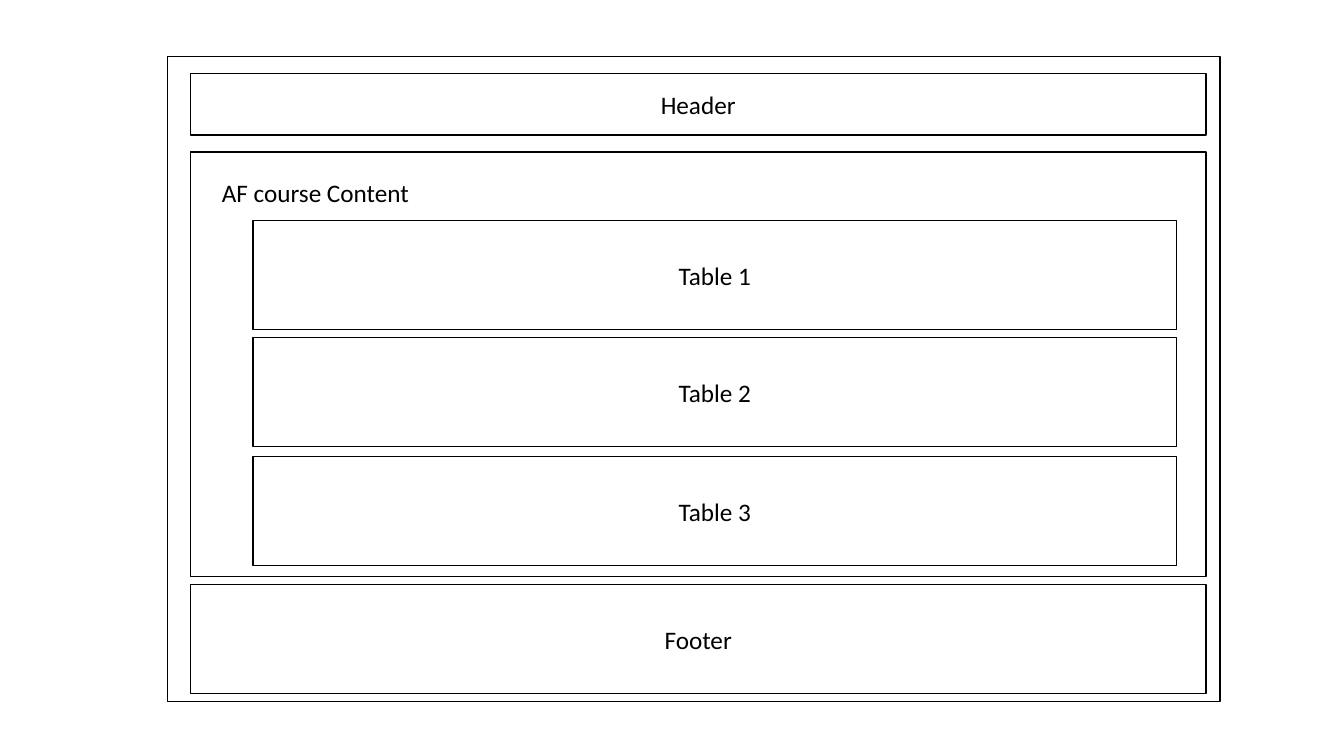
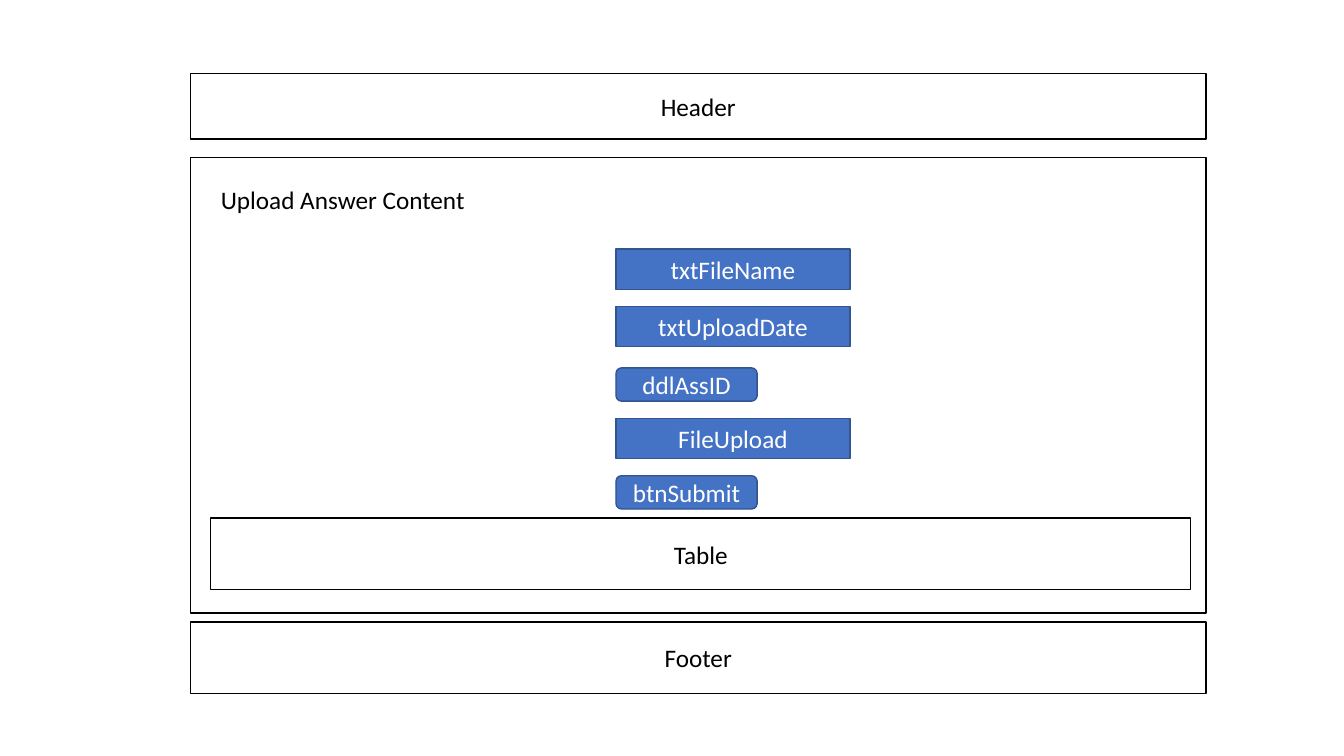
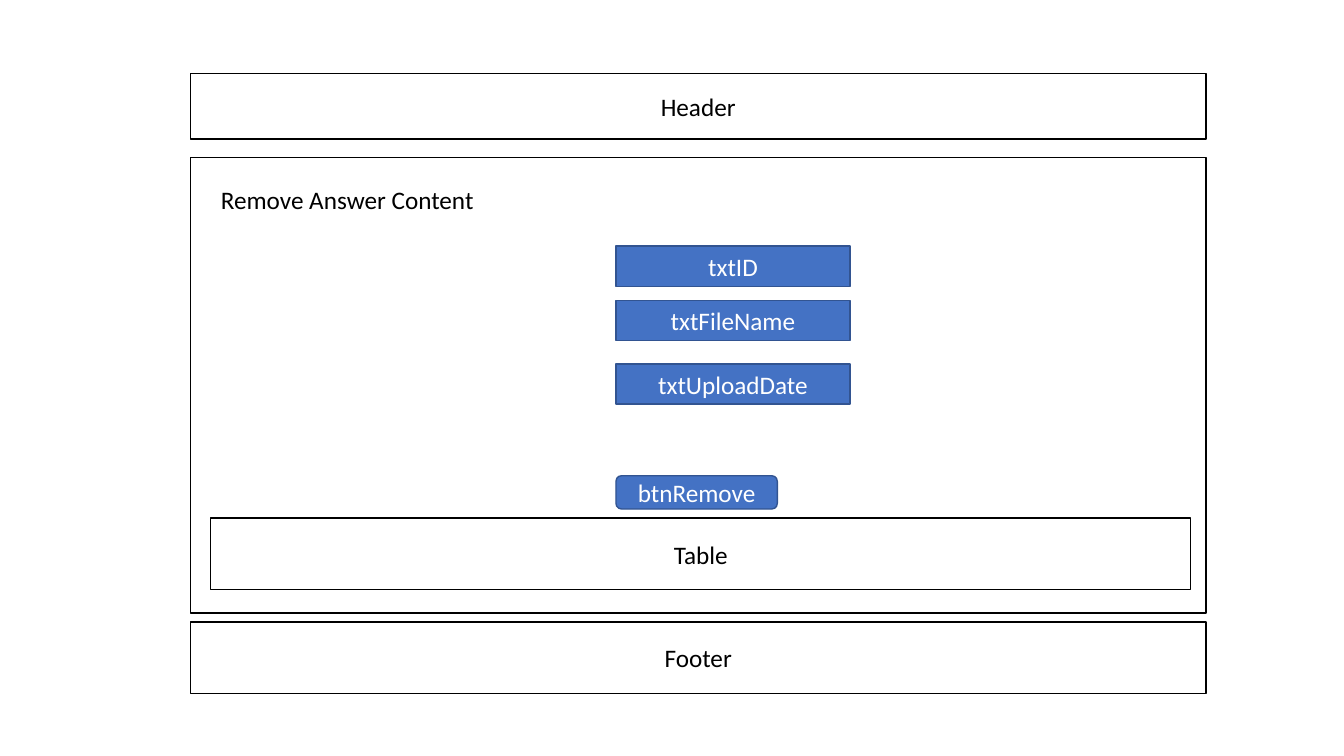
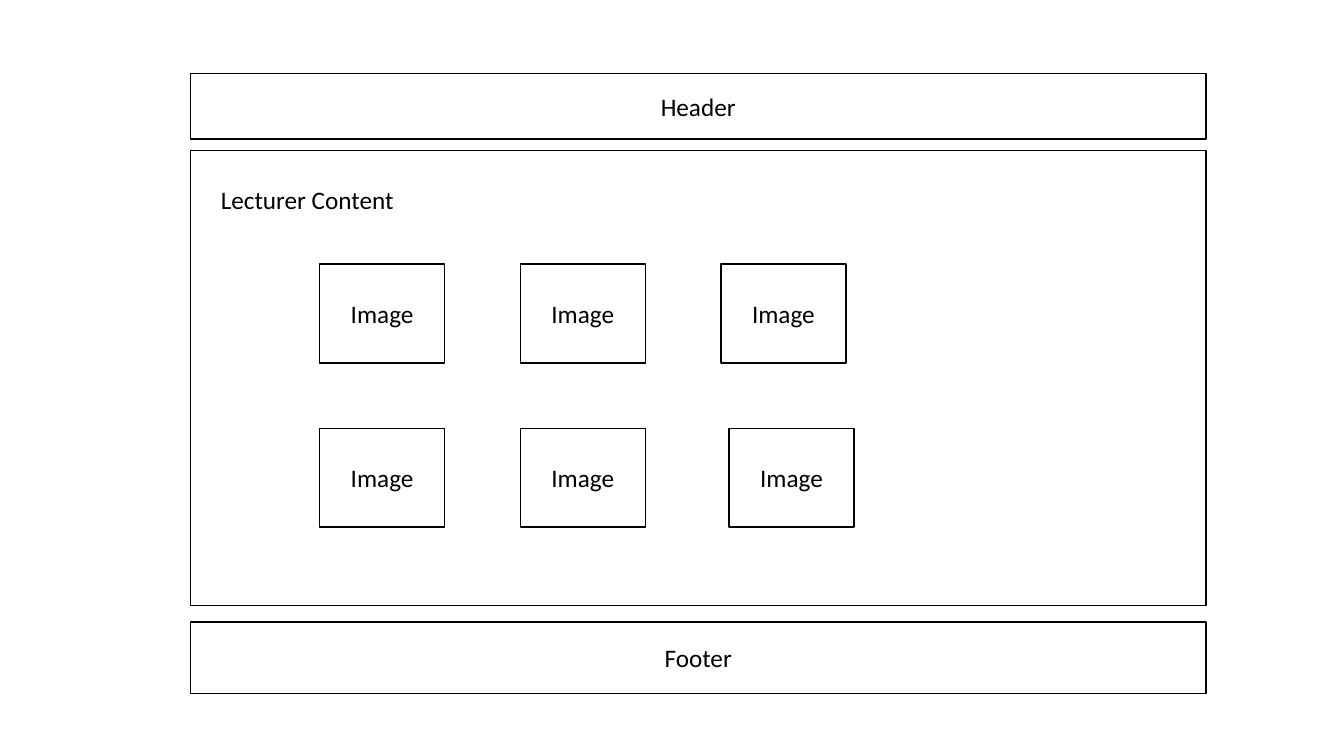
from pptx import Presentation
from pptx import util as u
from pptx.dml.color import RGBColor
from pptx.enum import shapes, text

PX = 9144
BLACK = RGBColor(0x00, 0x00, 0x00)
WHITE = RGBColor(0xFF, 0xFF, 0xFF)
BLUE = RGBColor(0x44, 0x72, 0xC4)
NAVY = RGBColor(0x32, 0x54, 0x91)

RECTANGLE = shapes.MSO_SHAPE.RECTANGLE
ROUNDED = shapes.MSO_SHAPE.ROUNDED_RECTANGLE
TITLE_ONLY = 5
PAGE_LEFT, PAGE_WIDTH = 189, 1007
HEADER_TOP = 73
FIELD_LEFT = 611


class Wireframe:
    """Draw page wireframes in one shared style."""

    font = {"name": "Calibri", "size": u.Pt(18), "bold": False}

    def __init__(self):
        self.presentation = Presentation()
        self.presentation.slide_width = 1333 * PX
        self.presentation.slide_height = 750 * PX
        self.slide = None

    def add_slide(self):
        layout = self.presentation.slide_layouts[TITLE_ONLY]
        self.slide = self.presentation.slides.add_slide(layout)

    def label(self, shape, words, color, alignment, anchor):
        frame = shape.text_frame
        frame.text = words
        frame.word_wrap = True
        frame.auto_size = text.MSO_AUTO_SIZE.NONE
        frame.vertical_anchor = anchor
        paragraph = frame.paragraphs[0]
        paragraph.alignment = alignment
        for name, value in self.font.items():
            setattr(paragraph.font, name, value)
        paragraph.font.color.rgb = color

    def box(self, left, top, width, height, words="",
            kind=RECTANGLE, fill=WHITE, line=BLACK, color=BLACK):
        shape = self.slide.shapes.add_shape(
            kind, left * PX, top * PX, width * PX, height * PX)
        shape.shadow.inherit = False
        shape.fill.solid()
        shape.fill.fore_color.rgb = fill
        shape.line.color.rgb = line
        shape.line.width = u.Pt(1)
        if words:
            self.label(shape, words, color,
                       text.PP_ALIGN.CENTER, text.MSO_ANCHOR.MIDDLE)

    def heading(self, words, left, top):
        title = self.slide.shapes.title
        place = {"left": left, "top": top, "width": 339, "height": 40}
        for name, value in place.items():
            setattr(title, name, value * PX)
        self.label(title, words, BLACK,
                   text.PP_ALIGN.LEFT, text.MSO_ANCHOR.TOP)
        self.slide.shapes._spTree.append(title._element)

    def band(self, top, height, words=""):
        self.box(PAGE_LEFT, top, PAGE_WIDTH, height, words)

    def page(self, words, content_top=156):
        self.add_slide()
        self.band(HEADER_TOP, 65, "Header")
        self.band(content_top, 452)
        self.band(617, 71, "Footer")
        self.heading(words, 209, 178)

    def field(self, top, words):
        self.box(FIELD_LEFT, top, 232, 40, words, RECTANGLE, BLUE, NAVY, WHITE)

    def button(self, top, words, width=140):
        self.box(FIELD_LEFT, top, width, 33, words, ROUNDED, BLUE, NAVY, WHITE)

    def answer_table(self):
        self.box(209, 514, 972, 71, "Table")


def course_slide(deck):
    deck.add_slide()
    deck.box(166, 56, 1044, 640)
    deck.band(HEADER_TOP, 61, "Header")
    deck.band(151, 421)
    deck.band(580, 108, "Footer")
    deck.heading("AF course Content", 210, 171)
    for number, top in enumerate((219, 335, 453), 1):
        deck.box(251, top, 916, 108, f"Table {number}")


def upload_slide(deck):
    deck.page("Upload Answer Content")
    for top, words in ((247, "txtFileName"), (304, "txtUploadDate"),
                       (415, "FileUpload")):
        deck.field(top, words)
    for top, words in ((365, "ddlAssID"), (472, "btnSubmit")):
        deck.button(top, words)
    deck.answer_table()


def remove_slide(deck):
    deck.page("Remove Answer Content")
    for top, words in ((244, "txtID"), (298, "txtFileName"),
                       (361, "txtUploadDate")):
        deck.field(top, words)
    deck.button(472, "btnRemove", 160)
    deck.answer_table()


def lecturer_slide(deck):
    deck.page("Lecturer Content", 149)
    for top, lefts in ((262, (317, 516, 715)), (425, (317, 516, 723))):
        for left in lefts:
            deck.box(left, top, 124, 98, "Image")


def main():
    deck = Wireframe()
    for build in (course_slide, upload_slide, remove_slide, lecturer_slide):
        build(deck)
    deck.presentation.save("out.pptx")


if __name__ == "__main__":
    main()
